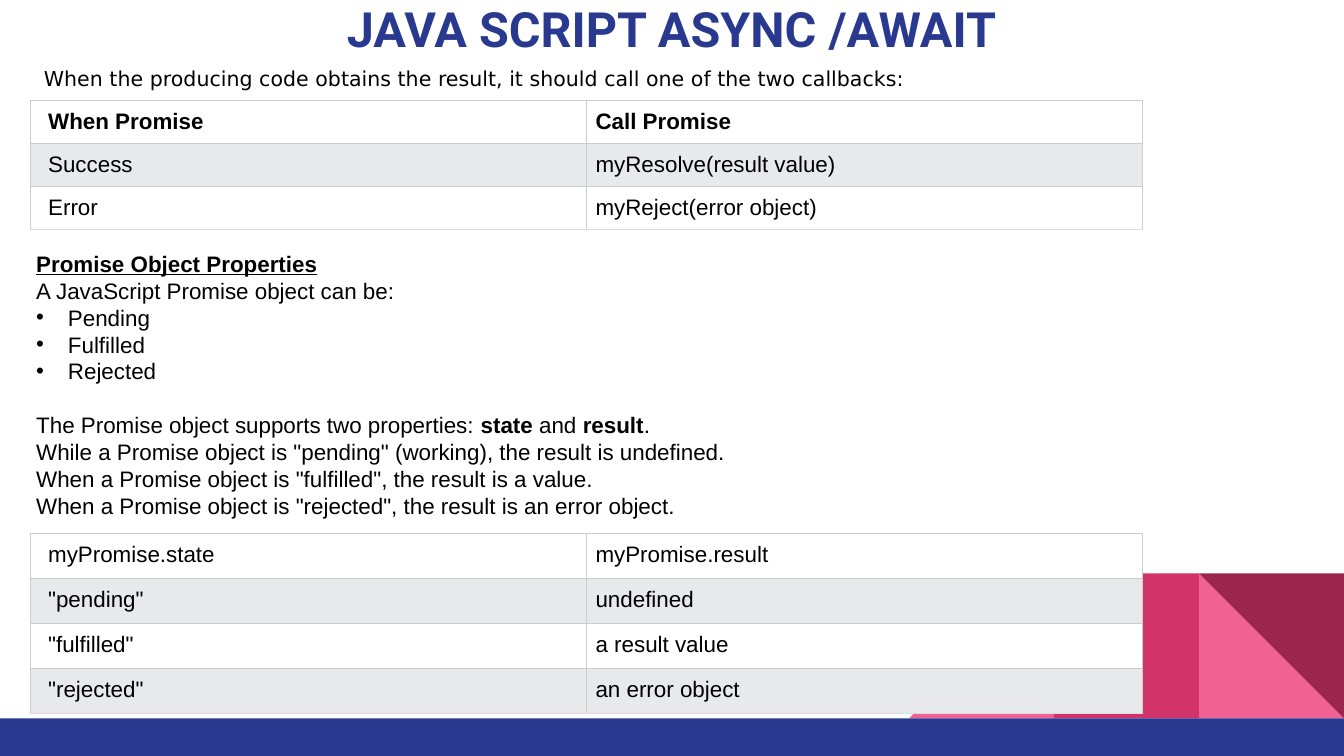
from lxml.etree import SubElement
from pptx import Presentation
from pptx.dml.color import RGBColor
from pptx.enum.shapes import MSO_SHAPE
from pptx.enum.text import MSO_ANCHOR, MSO_AUTO_SIZE, PP_ALIGN
from pptx.oxml.ns import qn
from pptx.util import Cm, Pt

NAVY, PINK, ROSE, WINE = "2A3990", "F06292", "D23369", "9C254D"
BLACK, WHITE, STRIPE = "000000", "FFFFFF", "E7E9EB"
BORDER, LAST_BORDER = "CCCCCC", "DDDDDD"


def color(value):
    return RGBColor.from_string(value)


class SlideBuilder:
    text_font = "Arial"
    text_size = 12
    line_height = 14.4

    def __init__(self, page):
        self.page = page

    def place(self, box, left, top, width, height):
        box.left, box.top = Cm(left), Cm(top)
        box.width, box.height = Cm(width), Cm(height)

    def format_span(self, span, size=None, font=None, ink=BLACK, bold=False):
        span.font.size = Pt(size or self.text_size)
        span.font.name = font or self.text_font
        span.font.color.rgb = color(ink)
        span.font.bold = bold

    def shape(self, kind, left, top, width, height, fill, rotation=0):
        box = self.page.shapes.add_shape(kind, Cm(left), Cm(top), Cm(width), Cm(height))
        box.shadow.inherit = False
        box.fill.solid()
        box.fill.fore_color.rgb = color(fill)
        box.line.fill.background()
        box.rotation = rotation

    def title(self, text, left, top, width, height):
        box = self.page.shapes.title
        self.place(box, left, top, width, height)
        frame = box.text_frame
        frame.text = text
        frame.auto_size = MSO_AUTO_SIZE.NONE
        frame.vertical_anchor = MSO_ANCHOR.MIDDLE
        para = frame.paragraphs[0]
        para.alignment = PP_ALIGN.CENTER
        self.format_span(para.runs[0], 26, "Roboto", NAVY, True)

    def note(self, text, left, top, width, height):
        box = self.page.shapes.add_textbox(Cm(left), Cm(top), Cm(width), Cm(height))
        frame = box.text_frame
        frame.word_wrap = True
        frame.vertical_anchor = MSO_ANCHOR.MIDDLE
        frame.text = text
        self.format_span(frame.paragraphs[0].runs[0], 11, "DejaVu Sans")

    def paragraph(self, para, spans, bulleted=False, gap=0):
        for text, bold in spans:
            span = para.add_run()
            span.text = text
            self.format_span(span, bold=bold)
        para.line_spacing = Pt(self.line_height)
        para.space_before = Pt(gap)
        properties = para._p.get_or_add_pPr()
        indent = Cm(0.6) if bulleted else 0
        properties.set("marL", str(indent))
        properties.set("indent", str(-indent))
        if bulleted:
            SubElement(properties, qn("a:buFont"), typeface=self.text_font)
            SubElement(properties, qn("a:buChar"), char="•")
        else:
            SubElement(properties, qn("a:buNone"))

    def body(self, heading, intro, bullets, details, left, top, width, height):
        box = self.page.placeholders[1]
        self.place(box, left, top, width, height)
        frame = box.text_frame
        frame.auto_size = MSO_AUTO_SIZE.NONE
        frame.vertical_anchor = MSO_ANCHOR.TOP
        first = frame.paragraphs[0]
        self.paragraph(first, [(heading, True)])
        first.runs[0].font.underline = True
        self.paragraph(frame.add_paragraph(), [(intro, False)])
        for bullet in bullets:
            self.paragraph(frame.add_paragraph(), [(bullet, False)], bulleted=True)
        for index, spans in enumerate(details):
            gap = self.line_height if index == 0 else 0
            self.paragraph(frame.add_paragraph(), spans, gap=gap)

    def borders(self, cell, bottom):
        properties = cell._tc.get_or_add_tcPr()
        sides = {"lnL": BORDER, "lnR": BORDER, "lnT": BORDER, "lnB": bottom}
        for side, ink in sides.items():
            line = SubElement(properties, qn(f"a:{side}"), w=str(Pt(0.6)))
            SubElement(SubElement(line, qn("a:solidFill")), qn("a:srgbClr"), val=ink)

    def table(self, rows, left, top, width, row_height, bold_header=False):
        frame = self.page.shapes.add_table(
            len(rows), len(rows[0]), Cm(left), Cm(top), Cm(width), Cm(row_height * len(rows)))
        table = frame.table
        table.first_row = table.horz_banding = False
        for row, texts in enumerate(rows):
            bottom = LAST_BORDER if row == len(rows) - 1 else BORDER
            for column, text in enumerate(texts):
                cell = table.cell(row, column)
                cell.text_frame.text = text
                cell.margin_left = Cm(0.17 if column else 0.33)
                cell.margin_right = Cm(0.17)
                cell.margin_top = cell.margin_bottom = Cm(0.16)
                self.borders(cell, bottom)
                cell.fill.solid()
                cell.fill.fore_color.rgb = color(STRIPE if row % 2 else WHITE)
                span = cell.text_frame.paragraphs[0].runs[0]
                self.format_span(span, bold=bold_header and row == 0)


def main():
    deck = Presentation()
    deck.slide_width, deck.slide_height = Cm(25.4), Cm(14.29)
    page = deck.slides.add_slide(deck.slide_layouts[1])
    builder = SlideBuilder(page)

    # Corner tiles, counted in columns from the right edge, and the footer bar
    tile = 2.74
    tiles = [
        (MSO_SHAPE.RIGHT_TRIANGLE, 1, PINK, 0),
        (MSO_SHAPE.RIGHT_TRIANGLE, 3, PINK, 270),
        (MSO_SHAPE.RECTANGLE, 2, ROSE, 0),
        (MSO_SHAPE.RIGHT_TRIANGLE, 1, WINE, 180),
    ]
    for kind, column, fill, rotation in tiles:
        builder.shape(kind, 25.4 - column * tile, 10.84, tile, tile, fill, rotation)
    builder.shape(MSO_SHAPE.RECTANGLE, 0, 13.58, 25.4, 0.71, NAVY)

    # Title and the callbacks
    builder.title("JAVA SCRIPT ASYNC /AWAIT", 0, -0.3, 25.4, 1.68)
    builder.table([
        ("When Promise", "Call Promise"),
        ("Success", "myResolve(result value)"),
        ("Error", "myReject(error object)"),
    ], 0.58, 1.9, 21.01, 0.81, bold_header=True)
    builder.note(
        "When the producing code obtains the result, "
        "it should call one of the two callbacks:", 0.58, 0.84, 24.8, 1.27)

    # Promise properties
    builder.body(
        "Promise Object Properties",
        "A JavaScript Promise object can be:",
        ["Pending", "Fulfilled", "Rejected"],
        [
            [("The Promise object supports two properties: ", False), ("state", True),
             (" and ", False), ("result", True), (".", False)],
            [('While a Promise object is "pending" (working), the result is undefined.', False)],
            [('When a Promise object is "fulfilled", the result is a value.', False)],
            [('When a Promise object is "rejected", the result is an error object.', False)],
        ], 0.43, 4.6, 20.88, 5.38)

    # State and result pairs
    builder.table([
        ("myPromise.state", "myPromise.result"),
        ('"pending"', "undefined"),
        ('"fulfilled"', "a result value"),
        ('"rejected"', "an error object"),
    ], 0.58, 10.08, 21.01, 0.85)

    deck.save("out.pptx")


if __name__ == "__main__":
    main()
